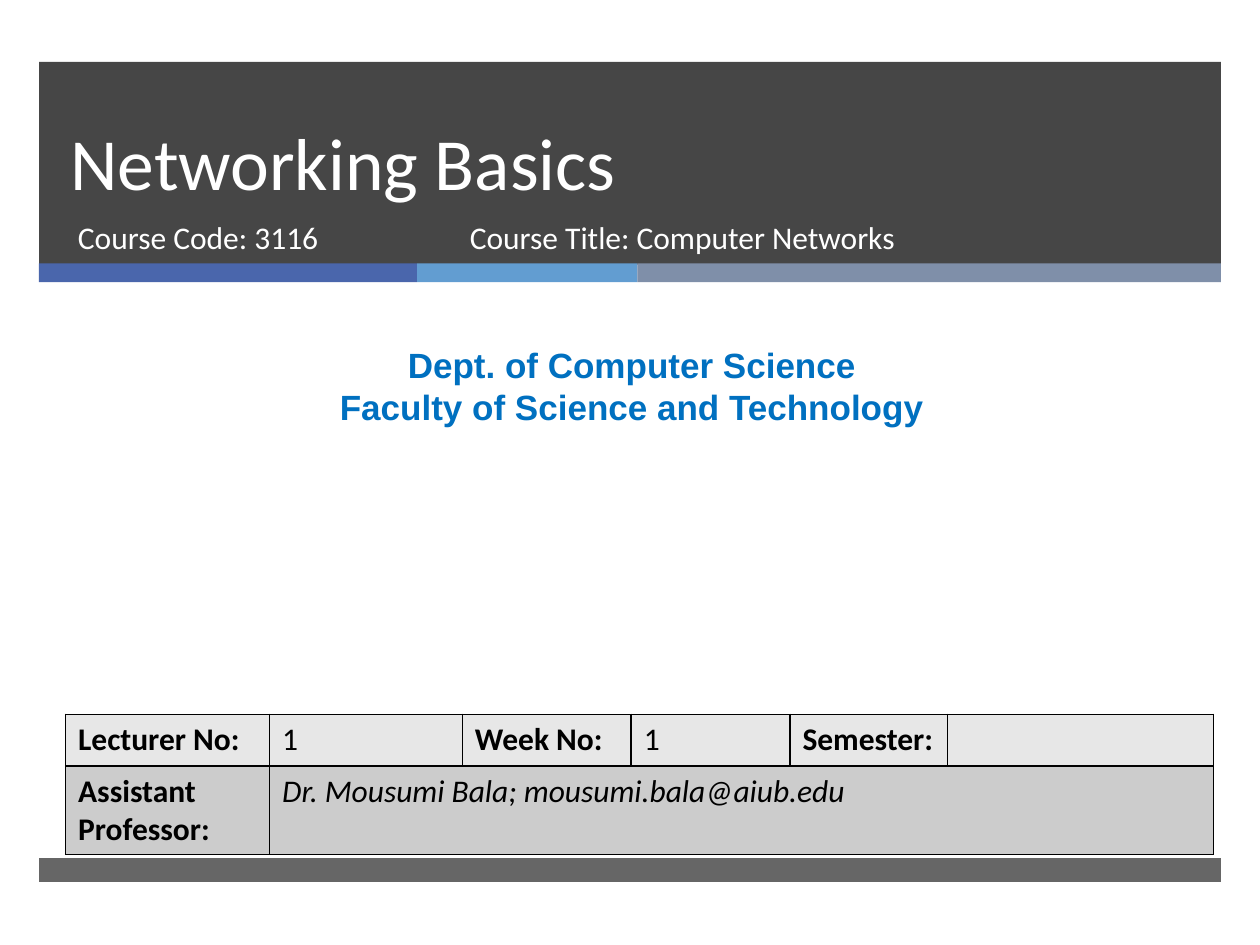
"""Build the opening slide of a computer networks lecture."""
from lxml import etree
from pptx import Presentation, util as u
from pptx.dml.color import RGBColor
from pptx.enum import shapes, text
from pptx.oxml import ns

COLORS = {"dark": "262626", "blue": "4A66AC", "sky": "629DD1", "slate": "7F8FA9",
          "white": "FFFFFF", "dept": "0070C0", "black": "000000",
          "light_row": "E7E7E7", "dark_row": "CCCCCC"}
WIDTH, HEIGHT = 10, 7.5
MARGIN = 0.31
BAND_WIDTH = WIDTH - 2 * MARGIN
STRIPE_TOP = 2.09

TITLE = "Networking Basics"
COURSE = [("Course Code: 3116", 0.52, 3.05), ("Course Title: Computer Networks", 3.63, 4.55)]
DEPARTMENT = ["Dept. of Computer Science", "Faculty of Science and Technology"]
BANDS = [(0.49, 1.61, 85), (6.81, 0.19, 70)]
STRIPES = [("blue", 3), ("sky", 1.75), ("slate", 4.63)]
DETAILS = [
    ("light_row", ["Lecturer No:", "1", "Week No:", "1", "Semester:", ""]),
    ("dark_row", ["Assistant Professor:", "Dr. Mousumi Bala; mousumi.bala@aiub.edu"]),
]
COLUMNS = [1.62, 1.53, 1.34, 1.26, 1.25, 2.11]
ROW_HEIGHT = 0.41


def inches(*lengths):
    return [u.Inches(length) for length in lengths]


def paint(fill, color, opacity=100):
    fill.solid()
    fill.fore_color.rgb = RGBColor.from_string(COLORS[color])
    if opacity < 100:
        shade = fill._xPr.find(".//" + ns.qn("a:srgbClr"))
        etree.SubElement(shade, ns.qn("a:alpha"), val=str(opacity * 1000))


def add_bar(slide, left, top, width, height, color, opacity=100):
    bar = slide.shapes.add_shape(shapes.MSO_SHAPE.RECTANGLE, *inches(left, top, width, height))
    bar.shadow.inherit = False
    bar.line.fill.background()
    paint(bar.fill, color, opacity)


def write(paragraph, words, size, color, font="Calibri", bold=False, italic=False):
    run = paragraph.add_run()
    run.text = words
    run.font.name, run.font.size = font, u.Pt(size)
    run.font.bold, run.font.italic = bold, italic
    run.font.color.rgb = RGBColor.from_string(COLORS[color])


def add_frame(slide, left, top, width, height):
    frame = slide.shapes.add_textbox(*inches(left, top, width, height)).text_frame
    frame.word_wrap = True
    return frame


def add_borders(cell):
    properties = cell._tc.get_or_add_tcPr()
    for side in ("lnL", "lnR", "lnT", "lnB"):
        border = etree.SubElement(properties, ns.qn("a:" + side), w=str(u.Pt(1)))
        fill = etree.SubElement(border, ns.qn("a:solidFill"))
        etree.SubElement(fill, ns.qn("a:srgbClr"), val=COLORS["black"])


def add_title(slide):
    title = slide.shapes.title
    title.left, title.top, title.width, title.height = inches(0.46, 0.49, 8.54, 1.19)
    slide.shapes._spTree.append(title._element)
    frame = title.text_frame
    frame.vertical_anchor = text.MSO_ANCHOR.BOTTOM
    frame.auto_size = text.MSO_AUTO_SIZE.NONE
    paragraph = frame.paragraphs[0]
    paragraph.alignment = text.PP_ALIGN.LEFT
    paragraph.line_spacing = u.Pt(46)
    write(paragraph, TITLE, 42, "white")


def add_details(slide):
    details = slide.shapes.add_table(len(DETAILS), len(COLUMNS), *inches(
        0.52, 5.67, sum(COLUMNS), ROW_HEIGHT * len(DETAILS))).table
    for column, width in zip(details.columns, COLUMNS):
        column.width = u.Inches(width)
    for r, (color, entries) in enumerate(DETAILS):
        details.rows[r].height = u.Inches(ROW_HEIGHT)
        for c in range(len(COLUMNS)):
            cell = details.cell(r, c)
            add_borders(cell)
            paint(cell.fill, color)
            if c < len(entries) and entries[c]:
                write(cell.text_frame.paragraphs[0], entries[c], 18, "black",
                      bold=c % 2 == 0, italic="@" in entries[c])
        if len(entries) < len(COLUMNS):
            details.cell(r, len(entries) - 1).merge(details.cell(r, len(COLUMNS) - 1))


def main():
    deck = Presentation()
    deck.slide_width, deck.slide_height = inches(WIDTH, HEIGHT)
    slide = deck.slides.add_slide(deck.slide_layouts[5])

    for top, height, opacity in BANDS:
        add_bar(slide, MARGIN, top, BAND_WIDTH, height, "dark", opacity)
    left = MARGIN
    for color, width in STRIPES:
        add_bar(slide, left, STRIPE_TOP, width, 0.15, color)
        left += width

    add_title(slide)
    for words, left, width in COURSE:
        write(add_frame(slide, left, 1.68, width, 0.53).paragraphs[0], words, 18, "white")

    department = add_frame(slide, 0.08, 2.68, 9.87, 0.77)
    for i, words in enumerate(DEPARTMENT):
        paragraph = department.add_paragraph() if i else department.paragraphs[0]
        paragraph.alignment = text.PP_ALIGN.CENTER
        write(paragraph, words, 20, "dept", "Arial", bold=True)

    add_details(slide)
    deck.save("out.pptx")


if __name__ == "__main__":
    main()
